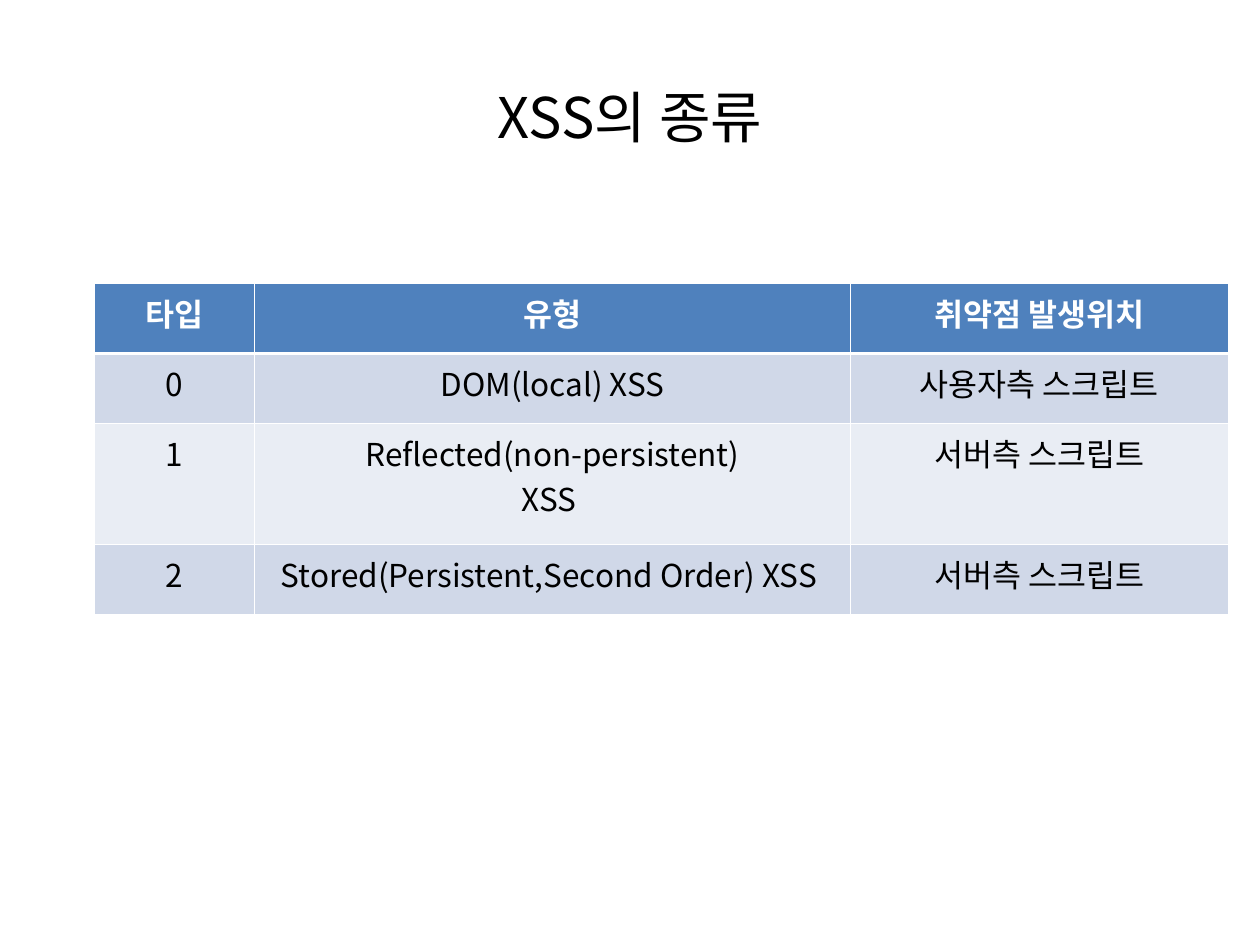
from lxml.etree import SubElement
from pptx import Presentation
from pptx.dml.color import RGBColor
from pptx.enum.text import MSO_ANCHOR, PP_ALIGN
from pptx.oxml import parse_xml
from pptx.oxml.ns import nsdecls, qn
from pptx.util import Pt

FONT = "Noto Sans CJK KR"
BLACK = RGBColor(0x00, 0x00, 0x00)
WHITE = RGBColor(0xFF, 0xFF, 0xFF)
HEADER_BLUE = RGBColor(0x4F, 0x81, 0xBD)
BAND_DARK = RGBColor(0xD0, 0xD8, 0xE8)
BAND_LIGHT = RGBColor(0xE9, 0xED, 0xF4)

THIN, THICK = 0.45, 1.47
COLUMN_WIDTHS = (91.5, 340.5, 216)
ROW_HEIGHTS = (40, 40, 69, 40)
XSS_TYPES = (
    ("타입", "유형", "취약점 발생위치"),
    ("0", "DOM(local) XSS", "사용자측 스크립트"),
    ("1", "Reflected(non-persistent)\nXSS ", "서버측 스크립트"),
    ("2", "Stored(Persistent,Second Order) XSS ", "서버측 스크립트"),
)


def write_text(frame, text, size, color, bold=False):
    frame.text = text
    for paragraph in frame.paragraphs:
        paragraph.alignment = PP_ALIGN.CENTER
        font = paragraph.font
        font.size = Pt(size)
        font.bold = bold
        font.color.rgb = color
        font.name = FONT
        defaults = paragraph._p.pPr.find(qn("a:defRPr"))
        SubElement(defaults, qn("a:ea")).set("typeface", FONT)


def add_borders(cell, top, bottom):
    properties = cell._tc.get_or_add_tcPr()
    widths = {"lnL": THIN, "lnR": THIN, "lnT": top, "lnB": bottom}
    for position, (side, width) in enumerate(widths.items()):
        border = parse_xml(
            f'<a:{side} {nsdecls("a")} w="{Pt(width)}"><a:solidFill>'
            f'<a:srgbClr val="{WHITE}"/></a:solidFill></a:{side}>'
        )
        properties.insert(position, border)


def add_title(slide, text):
    title = slide.shapes.title
    title.left, title.top = Pt(36), Pt(21.6)
    title.width, title.height = Pt(648), Pt(90)
    title.text_frame.vertical_anchor = MSO_ANCHOR.MIDDLE
    write_text(title.text_frame, text, 32, BLACK)


def add_type_table(slide):
    table = slide.shapes.add_table(
        len(XSS_TYPES), len(COLUMN_WIDTHS), Pt(54), Pt(162),
        Pt(sum(COLUMN_WIDTHS)), Pt(sum(ROW_HEIGHTS)),
    ).table
    for column, width in zip(table.columns, COLUMN_WIDTHS):
        column.width = Pt(width)
    for row_index, (labels, height) in enumerate(zip(XSS_TYPES, ROW_HEIGHTS)):
        row = table.rows[row_index]
        row.height = Pt(height)
        is_header = row_index == 0
        band = BAND_DARK if row_index % 2 else BAND_LIGHT
        for cell, label in zip(row.cells, labels):
            cell.fill.solid()
            cell.fill.fore_color.rgb = HEADER_BLUE if is_header else band
            write_text(cell.text_frame, label, 18,
                       WHITE if is_header else BLACK, is_header)
            add_borders(cell, THICK if row_index == 1 else THIN,
                        THICK if is_header else THIN)


def main():
    presentation = Presentation()
    presentation.slide_width, presentation.slide_height = Pt(720), Pt(540)
    slide = presentation.slides.add_slide(presentation.slide_layouts[5])
    add_title(slide, "XSS의 종류")
    add_type_table(slide)
    presentation.save("out.pptx")


if __name__ == "__main__":
    main()
